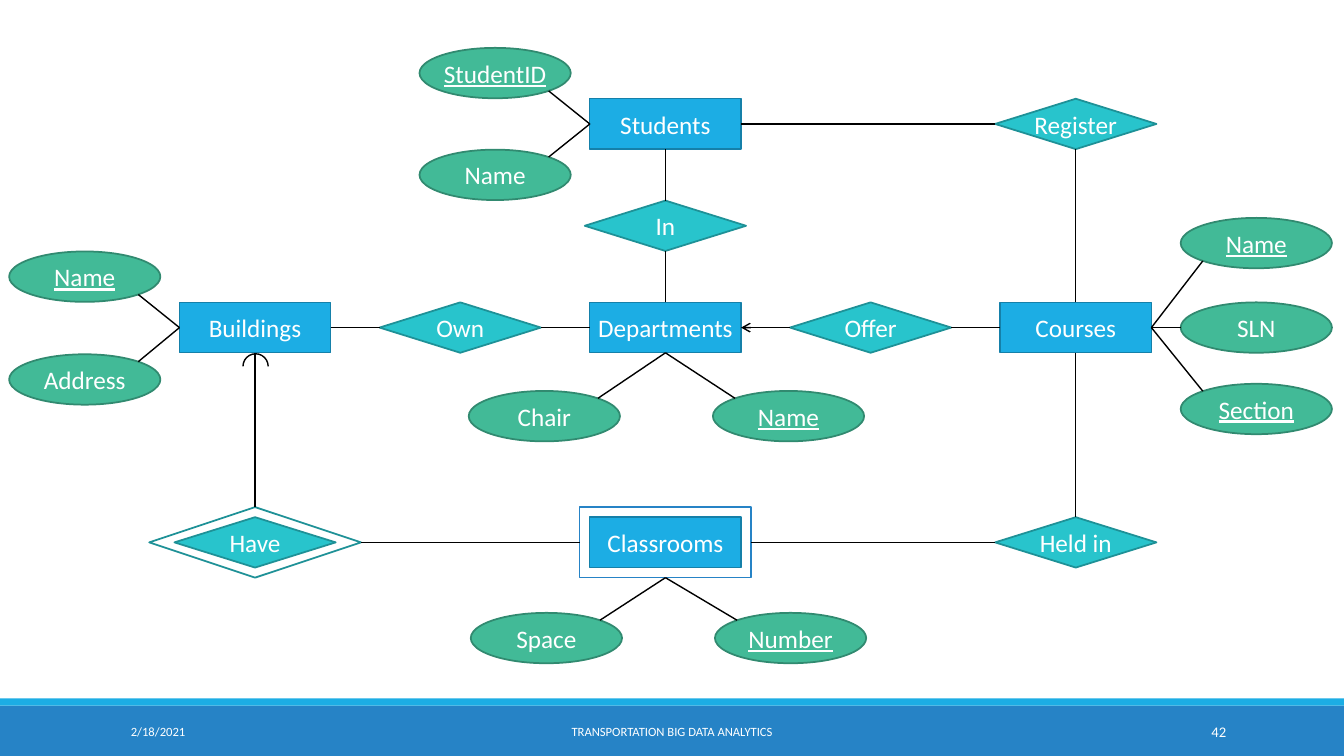
from dataclasses import dataclass

from lxml import etree
from pptx import Presentation
from pptx.dml.color import RGBColor
from pptx.enum.shapes import MSO_CONNECTOR, MSO_SHAPE
from pptx.enum.text import MSO_ANCHOR, PP_ALIGN
from pptx.oxml.ns import qn
from pptx.util import Inches, Pt

RECT, DIAMOND = MSO_SHAPE.RECTANGLE, MSO_SHAPE.DIAMOND
OVAL, ARC = MSO_SHAPE.OVAL, MSO_SHAPE.ARC
STRAIGHT = MSO_CONNECTOR.STRAIGHT
MIDDLE = MSO_ANCHOR.MIDDLE
LEFT, CENTER, RIGHT = PP_ALIGN.LEFT, PP_ALIGN.CENTER, PP_ALIGN.RIGHT

COLORS = {
    "white": "FFFFFF", "black": "000000",
    "bar": "2683C6", "entity": "1CADE4", "entity_line": "1580A9",
    "relation": "28C4CC", "relation_line": "1E9197",
    "attribute": "42BA97", "attribute_line": "318A70",
}
FONT = "Calibri"
SLIDE_W, SLIDE_H = 13.33, 7.5
COL_0, COL_STEP = 2.53, 2.035
ROW_0, ROW_STEP = 1.23, 1.01
LAST_ROW = 4.11
DIAGONAL = 0.354
PORTS = {
    "top": (0, -0.5), "left": (-0.5, 0), "bottom": (0, 0.5), "right": (0.5, 0),
    "top left": (-DIAGONAL, -DIAGONAL), "top right": (DIAGONAL, -DIAGONAL),
    "bottom left": (-DIAGONAL, DIAGONAL), "bottom right": (DIAGONAL, DIAGONAL),
}
SITES = {"top": 0, "left": 1, "bottom": 2, "right": 3}


@dataclass(frozen=True)
class Style:
    preset: MSO_SHAPE
    width: float
    height: float
    fill: str | None
    line: str
    weight: float


@dataclass(frozen=True)
class Node:
    name: str
    style: Style
    col: float
    row: float
    text: str = ""
    key: bool = False


@dataclass(frozen=True)
class Attribute:
    owner: str
    side: str
    port: str
    text: str
    col: float
    row: float
    key: bool = False


@dataclass(frozen=True)
class Link:
    start: str
    side: str
    end: str
    port: str
    arrow: bool = False


@dataclass(frozen=True)
class Footer:
    text: str
    left: float
    width: float
    size: float
    align: PP_ALIGN


ENTITY = Style(RECT, 1.5, 0.5, "entity", "entity_line", 1)
ENTITY_FRAME = Style(RECT, 1.7, 0.7, None, "bar", 1)
RELATION = Style(DIAMOND, 1.6, 0.5, "relation", "relation_line", 1.25)
RELATION_FRAME = Style(DIAMOND, 2.1, 0.7, None, "relation_line", 1.25)
ATTRIBUTE = Style(OVAL, 1.5, 0.5, "attribute", "attribute_line", 1.25)

NODES = [
    Node("Students", ENTITY, 2, 0, "Students"),
    Node("Register", RELATION, 4, 0, "Register"),
    Node("In", RELATION, 2, 1, "In"),
    Node("Buildings", ENTITY, 0, 2, "Buildings"),
    Node("Own", RELATION, 1, 2, "Own"),
    Node("Departments", ENTITY, 2, 2, "Departments"),
    Node("Offer", RELATION, 3, 2, "Offer"),
    Node("Courses", ENTITY, 4, 2, "Courses"),
    Node("Have", RELATION, 0, LAST_ROW, "Have"),
    Node("Have frame", RELATION_FRAME, 0, LAST_ROW),
    Node("Classrooms", ENTITY, 2, LAST_ROW, "Classrooms"),
    Node("Classrooms frame", ENTITY_FRAME, 2, LAST_ROW),
    Node("Held in", RELATION, 4, LAST_ROW, "Held in"),
]
ATTRIBUTES = [
    Attribute("Students", "left", "bottom right", "StudentID", 1.17, -0.5, True),
    Attribute("Students", "left", "top right", "Name", 1.17, 0.5),
    Attribute("Buildings", "left", "bottom right", "Name", -0.83, 1.5, True),
    Attribute("Buildings", "left", "top right", "Address", -0.83, 2.51),
    Attribute("Departments", "bottom", "top right", "Chair", 1.41, 2.87),
    Attribute("Departments", "bottom", "top left", "Name", 2.6, 2.87, True),
    Attribute("Courses", "right", "bottom left", "Name", 4.88, 1.17, True),
    Attribute("Courses", "right", "left", "SLN", 4.88, 2),
    Attribute("Courses", "right", "top left", "Section", 4.88, 2.8, True),
    Attribute("Classrooms frame", "bottom", "top right", "Space", 1.42, 5.05),
    Attribute("Classrooms frame", "bottom", "top left", "Number", 2.61, 5.05, True),
]
LINKS = [
    Link("Students", "right", "Register", "left"),
    Link("Students", "bottom", "In", "top"),
    Link("Departments", "top", "In", "bottom"),
    Link("Buildings", "right", "Own", "left"),
    Link("Departments", "left", "Own", "right"),
    Link("Departments", "right", "Offer", "left", True),
    Link("Courses", "left", "Offer", "right"),
    Link("Courses", "top", "Register", "bottom"),
    Link("Courses", "bottom", "Held in", "top"),
    Link("Buildings", "bottom", "Have frame", "top"),
    Link("Classrooms frame", "left", "Have frame", "right"),
    Link("Classrooms frame", "right", "Held in", "left"),
]
FOOTERS = [
    Footer("2/18/2021", 1.2, 2.7, 9, LEFT),
    Footer("TRANSPORTATION BIG DATA ANALYTICS", 4.03, 5.27, 9, CENTER),
    Footer("42", 10.83, 1.43, 10.5, RIGHT),
]


def rgb(name: str) -> RGBColor:
    return RGBColor.from_string(COLORS[name])


def center(col: float, row: float) -> tuple[float, float]:
    return COL_0 + col * COL_STEP, ROW_0 + row * ROW_STEP


def port_point(node: Node, port: str):
    x, y = center(node.col, node.row)
    dx, dy = PORTS[port]
    return Inches(x + dx * node.style.width), Inches(y + dy * node.style.height)


def write(sp, text: str, size: float, align: PP_ALIGN, wrap: bool, underline: bool = False) -> None:
    tf = sp.text_frame
    tf.text = text
    tf.word_wrap = wrap
    tf.vertical_anchor = MIDDLE
    p = tf.paragraphs[0]
    p.alignment = align
    font = p.runs[0].font
    font.name, font.size = FONT, Pt(size)
    font.color.rgb = rgb("white")
    if underline:
        font.underline = True


def add_shape(s, preset: MSO_SHAPE, box: tuple, fill: str | None, line: str | None, weight: float = 1):
    sp = s.shapes.add_shape(preset, *(Inches(v) for v in box))
    sp.shadow.inherit = False
    if fill:
        sp.fill.solid()
        sp.fill.fore_color.rgb = rgb(fill)
    else:
        sp.fill.background()
    if line:
        sp.line.color.rgb = rgb(line)
        sp.line.width = Pt(weight)
    else:
        sp.line.fill.background()
    return sp


def add_node(s, node: Node):
    x, y = center(node.col, node.row)
    st = node.style
    box = (x - st.width / 2, y - st.height / 2, st.width, st.height)
    sp = add_shape(s, st.preset, box, st.fill, st.line, st.weight)
    if node.text:
        write(sp, node.text, 18, CENTER, False, node.key)
    return sp


def add_link(s, link: Link, nodes: dict, shapes: dict) -> None:
    start, end = nodes[link.start], nodes[link.end]
    c = s.shapes.add_connector(STRAIGHT, *port_point(start, link.side), *port_point(end, link.port))
    c.begin_connect(shapes[link.start], SITES[link.side])
    if end.style.preset != OVAL:
        c.end_connect(shapes[link.end], SITES[link.port])
    c.line.color.rgb = rgb("black")
    c.line.width = Pt(1)
    spPr = c._element.spPr
    if link.arrow:
        etree.SubElement(spPr.find(qn("a:ln")), qn("a:headEnd"), type="arrow")
    etree.SubElement(spPr, qn("a:effectLst"))


def main() -> None:
    prs = Presentation()
    prs.slide_width, prs.slide_height = Inches(SLIDE_W), Inches(SLIDE_H)
    s = prs.slides.add_slide(prs.slide_layouts[6])
    add_shape(s, RECT, (0, 7, SLIDE_W, 0.5), "bar", None)
    add_shape(s, RECT, (0, 6.93, SLIDE_W, 0.07), "entity", None)

    ovals = {a: Node(f"{a.owner} {a.text}", ATTRIBUTE, a.col, a.row, a.text, a.key) for a in ATTRIBUTES}
    nodes = {n.name: n for n in [*NODES, *ovals.values()]}
    shapes = {name: add_node(s, n) for name, n in nodes.items()}
    for link in LINKS + [Link(a.owner, a.side, n.name, a.port) for a, n in ovals.items()]:
        add_link(s, link, nodes, shapes)

    arc = add_shape(s, ARC, (COL_0 - 0.12, 3.51, 0.25, 0.25), None, "black")
    arc.adjustments[0], arc.adjustments[1] = 108, 0

    for f in FOOTERS:
        sp = s.shapes.add_textbox(Inches(f.left), Inches(7.06), Inches(f.width), Inches(0.4))
        write(sp, f.text, f.size, f.align, True)
    prs.save("out.pptx")


if __name__ == "__main__":
    main()
